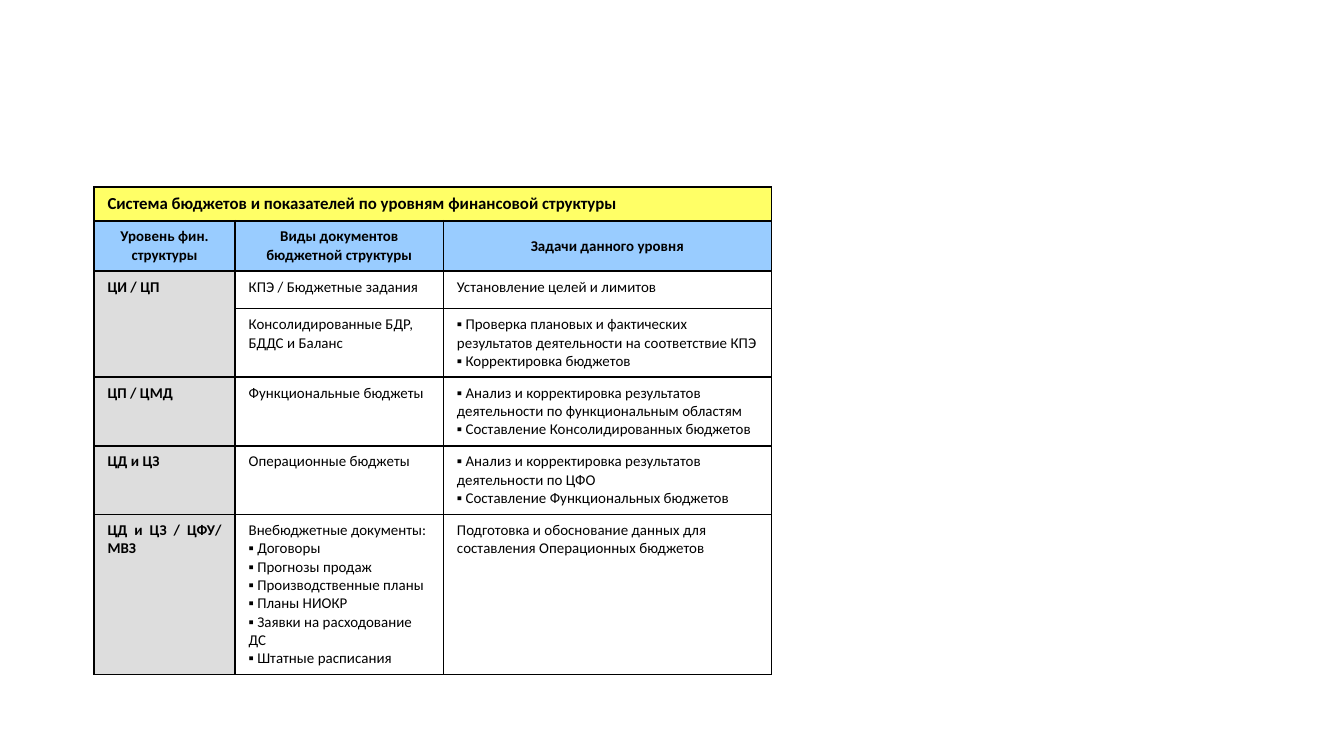
from lxml import etree
from pptx import Presentation
from pptx.dml.color import RGBColor
from pptx.enum.text import MSO_ANCHOR as Anchor, PP_ALIGN as Align
from pptx.oxml.ns import qn
from pptx.util import Inches, Pt

BLACK = RGBColor(0, 0, 0)
WHITE = RGBColor(0xFF, 0xFF, 0xFF)
YELLOW = RGBColor(0xFF, 0xFF, 0x66)
BLUE = RGBColor(0x99, 0xCC, 0xFF)
GREY = RGBColor(0xDD, 0xDD, 0xDD)

FONT = "Calibri"
MARK = "▪"
TITLE = "Система бюджетов и показателей по уровням финансовой структуры"
HEADS = ["Уровень фин. структуры", "Виды документов бюджетной структуры",
         "Задачи данного уровня"]
# Each row: level, documents, tasks; a level of None continues the one above.
LEVELS = [
    ("ЦИ / ЦП", ["КПЭ / Бюджетные задания"], ["Установление целей и лимитов"]),
    (None, ["Консолидированные БДР, БДДС и Баланс"],
     ["▪ Проверка плановых и фактических результатов деятельности "
      "на соответствие КПЭ",
      "▪ Корректировка бюджетов"]),
    ("ЦП / ЦМД", ["Функциональные бюджеты"],
     ["▪ Анализ и корректировка результатов деятельности "
      "по функциональным областям",
      "▪ Составление Консолидированных бюджетов"]),
    ("ЦД и ЦЗ", ["Операционные бюджеты"],
     ["▪ Анализ и корректировка результатов деятельности по ЦФО",
      "▪ Составление Функциональных бюджетов"]),
    ("ЦД и ЦЗ / ЦФУ/ МВЗ",
     ["Внебюджетные документы:", "▪ Договоры", "▪ Прогнозы продаж",
      "▪ Производственные планы", "▪ Планы НИОКР",
      "▪ Заявки на расходование ДС", "▪ Штатные расписания"],
     ["Подготовка и обоснование данных для составления "
      "Операционных бюджетов"]),
]
WIDTH = Inches(10)
COLS = [1.05, 1.55, 2.44]
ROWS = [0.18, 0.18, 0.28, 0.47, 0.49, 0.41, 1.03]
LEFT, TOP, HEIGHT = 0.7, 1.39, 3.69


def add_mark(par):
    props = par._p.get_or_add_pPr()
    props.set("marL", "0")
    props.set("indent", "0")
    etree.SubElement(props, qn("a:buFont")).set("typeface", FONT)
    etree.SubElement(props, qn("a:buChar")).set("char", MARK)


def add_edges(cell):
    """Draw a 1 pt black line on all four sides; the lines precede the fill."""
    props = cell._tc.get_or_add_tcPr()
    for spot, side in enumerate("LRTB"):
        line = etree.Element(qn(f"a:ln{side}"), w=str(Pt(1)))
        fill = etree.SubElement(line, qn("a:solidFill"))
        etree.SubElement(fill, qn("a:srgbClr")).set("val", str(BLACK))
        props.insert(spot, line)


def write(cell, lines, size=8, bold=False, align=Align.LEFT, anchor=Anchor.TOP):
    cell.vertical_anchor = anchor
    frame = cell.text_frame
    for num, text in enumerate(lines):
        par = frame.add_paragraph() if num else frame.paragraphs[0]
        par.alignment = align
        if text.startswith(MARK):
            add_mark(par)
            text = text[len(MARK):]
        run = par.add_run()
        run.text = text
        font = run.font
        font.name, font.size, font.bold = FONT, Pt(size), bold
        font.color.rgb = BLACK


def shade(row, col):
    if row == 0:
        return YELLOW
    if row == 1:
        return BLUE
    return WHITE if col else GREY


def main():
    deck = Presentation()
    deck.slide_width, deck.slide_height = WIDTH, WIDTH * 9 // 16
    slide = deck.slides.add_slide(deck.slide_layouts[6])
    frame = slide.shapes.add_table(len(ROWS), len(COLS), Inches(LEFT),
                                   Inches(TOP), Inches(sum(COLS)),
                                   Inches(HEIGHT))
    table = frame.table
    for col, width in zip(table.columns, COLS):
        col.width = Inches(width)
    for row, height in zip(table.rows, ROWS):
        row.height = Inches(height)
    frame.height = Inches(HEIGHT)

    for row in range(len(ROWS)):
        for col in range(len(COLS)):
            cell = table.cell(row, col)
            cell.fill.solid()
            cell.fill.fore_color.rgb = shade(row, col)
            add_edges(cell)

    table.cell(0, 0).merge(table.cell(0, len(COLS) - 1))
    write(table.cell(0, 0), [TITLE], size=9, bold=True, anchor=Anchor.MIDDLE)
    for col, text in enumerate(HEADS):
        write(table.cell(1, col), [text], bold=True, align=Align.CENTER,
              anchor=Anchor.MIDDLE)
    for row, (level, docs, tasks) in enumerate(LEVELS, 2):
        if level:
            write(table.cell(row, 0), [level], bold=True, align=Align.JUSTIFY)
        else:
            table.cell(row - 1, 0).merge(table.cell(row, 0))
        write(table.cell(row, 1), docs)
        write(table.cell(row, 2), tasks)
    deck.save("out.pptx")


if __name__ == "__main__":
    main()
